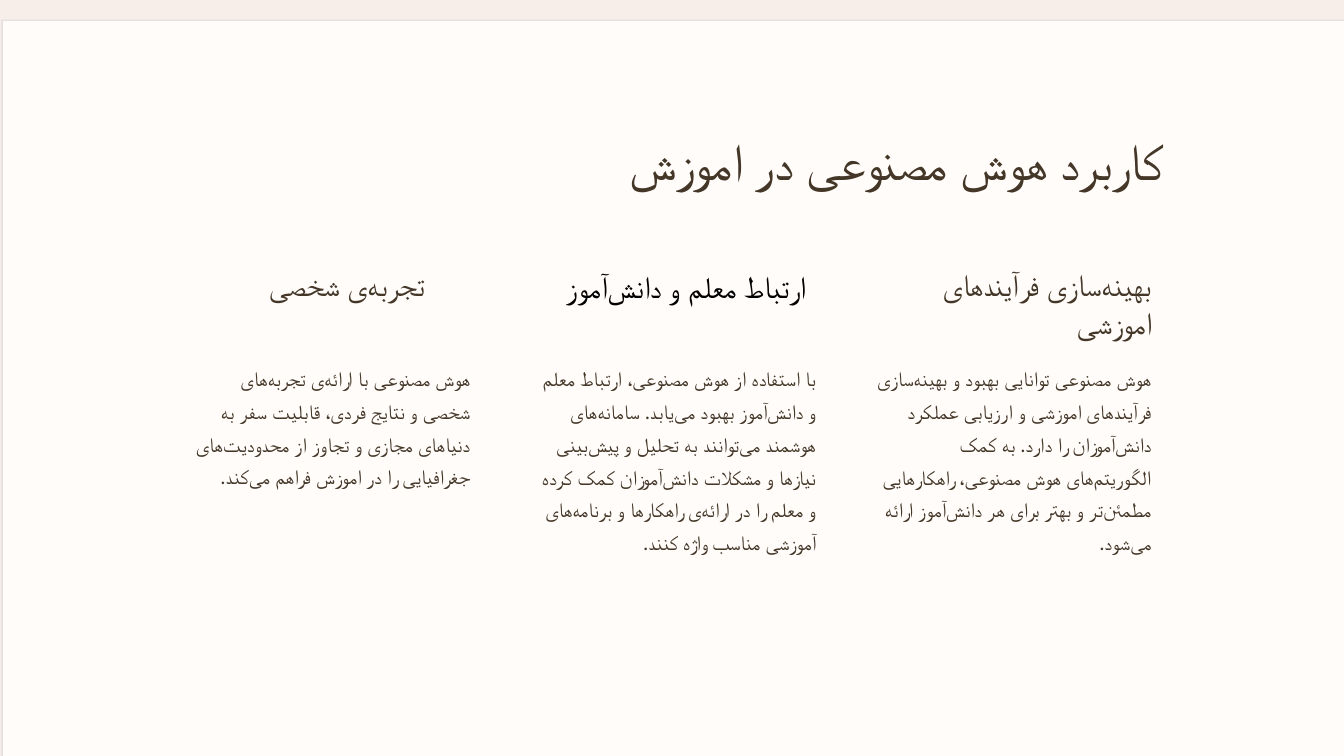
from lxml.etree import SubElement
from pptx import Presentation
from pptx.dml.color import RGBColor
from pptx.enum.text import MSO_AUTO_SIZE, PP_ALIGN
from pptx.oxml.ns import qn
from pptx.util import Emu, Pt

PX = 9525
WIDTH, HEIGHT = 1920, 1080
FONT = "Lato"
JOINER_MARK, NON_JOINER = "|", chr(0x200C)
BLUSH = RGBColor(0xF7, 0xED, 0xE9)
CREAM = RGBColor(0xFF, 0xFC, 0xFA)
BORDER = RGBColor(0xE5, 0xE0, 0xDF)
BROWN = RGBColor(0x44, 0x37, 0x28)
BLACK = RGBColor(0, 0, 0)

TITLE = "کاربرد هوش مصنوعی در اموزش"
BODY_TOP, COLUMN_WIDTH = 512, 395
COLUMNS = [
    (277, (277, 378, 330, 52), BROWN, "تجربه|ی شخصی", 184,
     "هوش مصنوعی با ارائه|ی تجربه|های شخصی و نتایج فردی، قابلیت سفر به "
     "دنیاهای مجازی و تجاوز از محدودیت|های جغرافیایی را در اموزش فراهم می|کند."),
    (771, (774, 380, 378, 53), BLACK, "ارتباط معلم و دانش|آموز", 278,
     "با استفاده از هوش مصنوعی، ارتباط معلم و دانش|آموز بهبود می|یابد. "
     "سامانه|های هوشمند می|توانند به تحلیل و پیش|بینی نیازها و مشکلات "
     "دانش|آموزان کمک کرده و معلم را در ارائه|ی راهکارها و برنامه|های "
     "آموزشی مناسب واژه کنند."),
    (1250, (1250, 378, 395, 108), BROWN, "بهینه|سازی فرآیندهای اموزشی", 278,
     "هوش مصنوعی توانایی بهبود و بهینه|سازی فرآیندهای اموزشی و ارزیابی "
     "عملکرد دانش|آموزان را دارد. به کمک الگوریتم|های هوش مصنوعی، "
     "راهکارهایی مطمئن|تر و بهتر برای هر دانش|آموز ارائه می|شود."),
]


class SlideBuilder:
    """Draws panels, frames and right-to-left text on one slide."""

    def __init__(self, slide, font):
        self.slide = slide
        self.font = font

    def outline(self, color, *boxes):
        left, top, _, _ = boxes[0]
        builder = self.slide.shapes.build_freeform(left, top, scale=PX)
        for index, (left, top, width, height) in enumerate(boxes):
            if index:
                builder.move_to(left, top)
            right, bottom = left + width, top + height
            builder.add_line_segments([(right, top), (right, bottom), (left, bottom)])
        shape = builder.convert_to_shape()
        shape.shadow.inherit = False
        shape.fill.solid()
        shape.fill.fore_color.rgb = color
        shape.line.fill.background()

    def text(self, box, content, size, spacing, color=BROWN):
        shape = self.slide.shapes.add_textbox(*(Emu(value * PX) for value in box))
        frame = shape.text_frame
        frame.margin_left = frame.margin_right = 0
        frame.margin_top = frame.margin_bottom = 0
        frame.word_wrap = True
        frame.auto_size = MSO_AUTO_SIZE.SHAPE_TO_FIT_TEXT
        paragraph = frame.paragraphs[0]
        paragraph.alignment = PP_ALIGN.RIGHT
        paragraph.line_spacing = Pt(spacing)
        paragraph._p.get_or_add_pPr().set("rtl", "1")
        run = paragraph.add_run()
        run.text = content.replace(JOINER_MARK, NON_JOINER)
        run.font.size = Pt(size)
        run.font.name = self.font
        run.font.color.rgb = color
        SubElement(run._r.get_or_add_rPr(), qn("a:cs"), typeface=self.font)


def main():
    presentation = Presentation()
    presentation.slide_width = Emu(WIDTH * PX)
    presentation.slide_height = Emu(HEIGHT * PX)
    slide = presentation.slides.add_slide(presentation.slide_layouts[6])
    builder = SlideBuilder(slide, FONT)

    builder.outline(BLUSH, (0, 0, WIDTH, HEIGHT))
    builder.outline(CREAM, (3, 29, WIDTH, HEIGHT))
    builder.outline(BORDER, (2, 28, WIDTH + 2, HEIGHT + 2), (4, 30, WIDTH - 2, HEIGHT - 2))

    builder.text((779, 182, 884, 87), TITLE, 54.7, 68.3)
    for left, heading_box, heading_color, heading, body_height, body in COLUMNS:
        builder.text(heading_box, heading, 32.8, 41, heading_color)
        builder.text((left, BODY_TOP, COLUMN_WIDTH, body_height), body, 21.9, 35)

    presentation.save("out.pptx")


if __name__ == "__main__":
    main()
